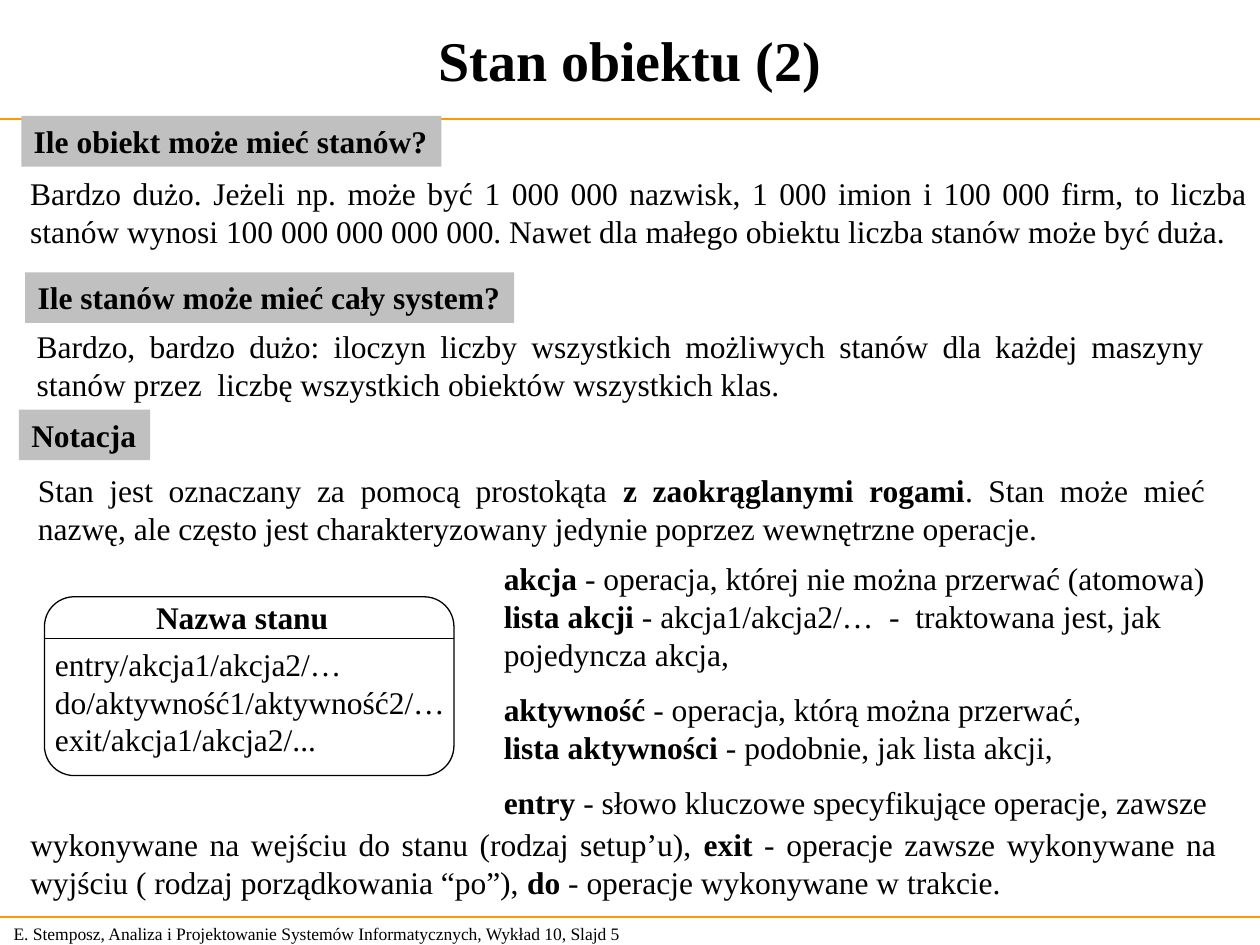
from dataclasses import dataclass

from lxml.etree import SubElement
from pptx import Presentation
from pptx.dml.color import RGBColor
from pptx.enum.shapes import MSO_CONNECTOR, MSO_SHAPE
from pptx.enum.text import MSO_ANCHOR, MSO_AUTO_SIZE, PP_ALIGN
from pptx.oxml.ns import qn
from pptx.util import Pt


@dataclass(frozen=True)
class Theme:
    font: str = "Times New Roman"
    ink: RGBColor = RGBColor(0x00, 0x00, 0x00)
    band: RGBColor = RGBColor(0xC0, 0xC0, 0xC0)
    rule: RGBColor = RGBColor(0xFF, 0x99, 0x00)
    title: int = 32
    body: int = 18
    footer: int = 10
    line: float = 0.75
    group_gap: int = 10


THEME = Theme()

HEADINGS = [
    ("Ile obiekt może mieć stanów?", (12.2, 66.2, 240, 29)),
    ("Ile stanów może mieć cały system?", (14.4, 155.6, 279.5, 29)),
    ("Notacja", (10.8, 234, 75, 29)),
]

# Text between double asterisks is bold.
PASSAGES = [
    ("Bardzo dużo. Jeżeli np. może być 1 000 000 nazwisk, 1 000 imion i 100 000 firm, "
     "to liczba stanów wynosi 100 000 000 000 000. Nawet dla małego obiektu liczba "
     "stanów może być duża.", (10.2, 95.8, 709.9, 50.4)),
    ("Bardzo, bardzo dużo: iloczyn liczby wszystkich możliwych stanów dla każdej "
     "maszyny stanów przez  liczbę wszystkich obiektów wszystkich klas.",
     (13.9, 183.6, 681.8, 50.4)),
    ("Stan jest oznaczany za pomocą prostokąta **z zaokrąglanymi rogami**. Stan może "
     "mieć nazwę, ale często jest charakteryzowany jedynie poprzez wewnętrzne operacje.",
     (14.6, 265.9, 681.1, 50.4)),
    ("wykonywane na wejściu do stanu (rodzaj setup’u), **exit **- operacje zawsze "
     "wykonywane na wyjściu ( rodzaj porządkowania “po”), **do **- operacje wykonywane "
     "w trakcie.", (10.2, 468.2, 691.9, 50.4)),
]

DEFINITION_GROUPS = [
    ["**akcja **- operacja, której nie można przerwać (atomowa)",
     "**lista akcji** - akcja1/akcja2/…  -  traktowana jest, jak",
     "pojedyncza akcja,"],
    ["**aktywność **- operacja, którą można przerwać,",
     "**lista aktywności** - podobnie, jak lista akcji,"],
    ["**entry **- słowo kluczowe specyfikujące operacje, zawsze"],
]

STATE_OPERATIONS = [
    "entry/akcja1/akcja2/…",
    "do/aktywność1/aktywność2/…",
    "exit/akcja1/akcja2/...",
]


def points(box):
    return [Pt(value) for value in box]


def write_line(paragraph, text, size, bold=False, align=PP_ALIGN.LEFT):
    """Fill a paragraph, setting the parts between double asterisks in bold."""
    paragraph.alignment = align
    font = paragraph.font
    font.name, font.size, font.bold = THEME.font, Pt(size), bold
    font.color.rgb = THEME.ink
    for index, part in enumerate(text.split("**")):
        if part:
            run = paragraph.add_run()
            run.text = part
            if index % 2:
                run.font.bold = True


def write_groups(frame, groups, wrap=False, size=THEME.body, **style):
    """Write groups of lines, with a gap before each group but the first."""
    frame.word_wrap = wrap
    frame.auto_size = MSO_AUTO_SIZE.SHAPE_TO_FIT_TEXT
    frame.vertical_anchor = MSO_ANCHOR.TOP
    paragraph = None
    for group in groups:
        for position, text in enumerate(group):
            first = paragraph is None
            paragraph = frame.paragraphs[0] if first else frame.add_paragraph()
            if position == 0 and not first:
                paragraph.space_before = Pt(THEME.group_gap)
            write_line(paragraph, text, size, **style)


def add_text(slide, box, groups, **style):
    textbox = slide.shapes.add_textbox(*points(box))
    write_groups(textbox.text_frame, groups, **style)
    return textbox


def add_rule(slide, left, right, y, color):
    rule = slide.shapes.add_connector(
        MSO_CONNECTOR.STRAIGHT, *points((left, y, right, y)))
    rule.line.color.rgb = color
    rule.line.width = Pt(THEME.line)
    SubElement(rule._element.spPr, qn("a:effectLst"))


def add_heading(slide, text, box):
    band = slide.shapes.add_shape(MSO_SHAPE.RECTANGLE, *points(box))
    band.shadow.inherit = False
    band.fill.solid()
    band.fill.fore_color.rgb = THEME.band
    band.line.fill.background()
    write_groups(band.text_frame, [[text]], bold=True)


def set_title(slide, text):
    title = slide.shapes.title
    title.left, title.top, title.width, title.height = points((2.9, 2.9, 714.2, 61.2))
    title.text_frame.vertical_anchor = MSO_ANCHOR.MIDDLE
    write_line(title.text_frame.paragraphs[0], text, THEME.title,
               bold=True, align=PP_ALIGN.CENTER)


def add_state_symbol(slide):
    left, top, width, height = 25.4, 341, 234, 102.2
    outline = slide.shapes.add_shape(
        MSO_SHAPE.ROUNDED_RECTANGLE, *points((left, top, width, height)))
    outline.shadow.inherit = False
    outline.fill.background()
    outline.line.color.rgb = THEME.ink
    outline.line.width = Pt(THEME.line)
    add_text(slide, (82.1, 337.9, 114, 29), [["Nazwa stanu"]], bold=True)
    add_text(slide, (24.3, 365, 242, 72), [STATE_OPERATIONS])
    add_rule(slide, left, left + width, 365, THEME.ink)


def main():
    presentation = Presentation()
    presentation.slide_width, presentation.slide_height = Pt(720), Pt(540)
    slide = presentation.slides.add_slide(presentation.slide_layouts[5])

    footer = add_text(
        slide, (0.7, 524, 377.3, 19.4),
        [["E. Stemposz, Analiza i Projektowanie Systemów Informatycznych, "
          "Wykład 10, Slajd 5"]],
        wrap=True, size=THEME.footer)
    footer.text_frame.vertical_anchor = MSO_ANCHOR.MIDDLE
    for y in (68, 524):
        add_rule(slide, 0, 720, y, THEME.rule)

    set_title(slide, "Stan obiektu (2)")
    for text, box in HEADINGS:
        add_heading(slide, text, box)
    for text, box in PASSAGES:
        add_text(slide, box, [[text]], wrap=True, align=PP_ALIGN.JUSTIFY)
    add_state_symbol(slide)
    add_text(slide, (280.8, 316.1, 418, 156.2), DEFINITION_GROUPS)

    presentation.save("out.pptx")


if __name__ == "__main__":
    main()
